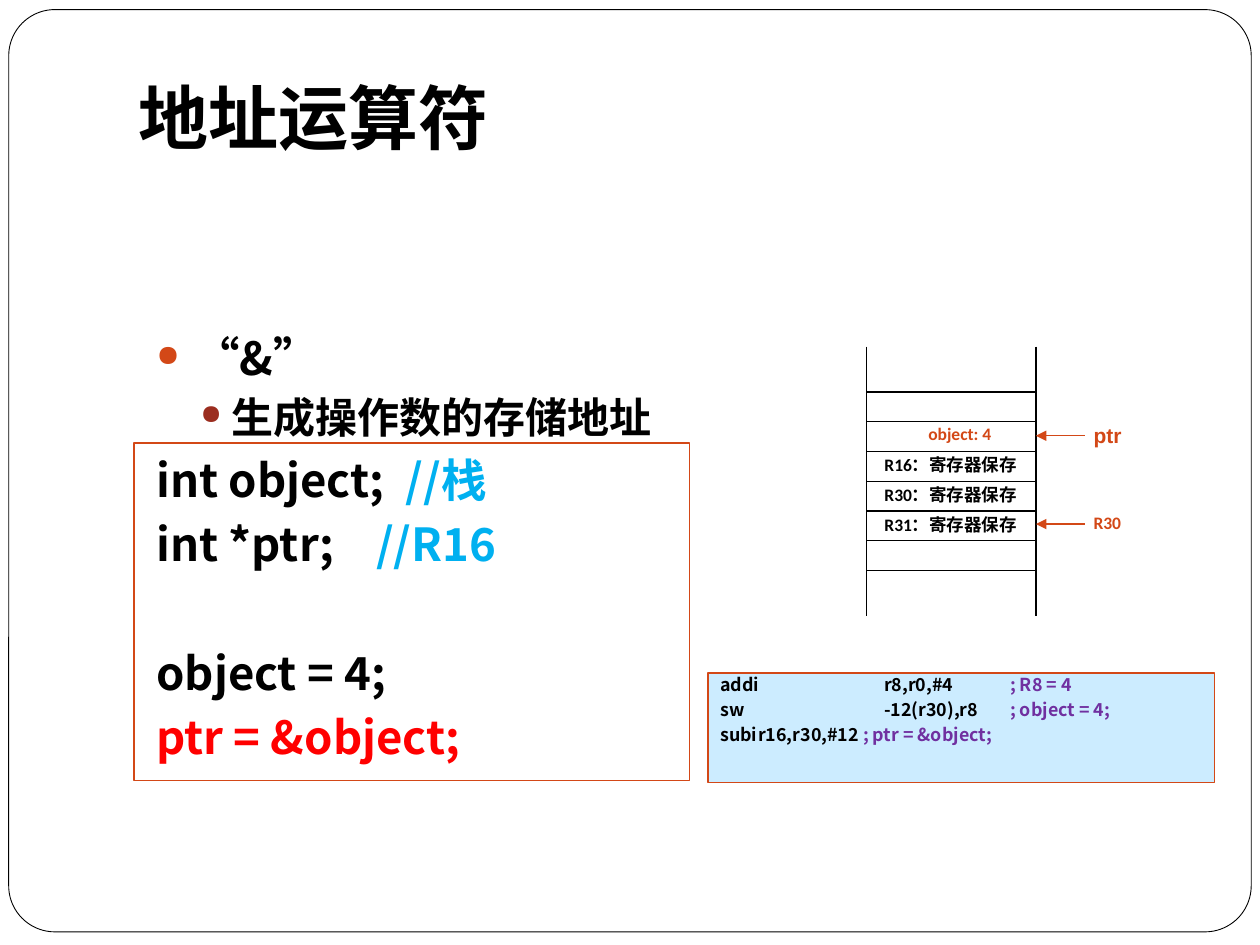
"""Build the slide on the address operator."""
from dataclasses import dataclass
from typing import Optional

import pptx
import pptx.dml.color
import pptx.enum.shapes
import pptx.enum.text
import pptx.oxml.ns
import pptx.util
from lxml import etree

Pt = pptx.util.Pt
qn = pptx.oxml.ns.qn
NOTO = "Noto Sans CJK SC"
HUES = {
    "ink": "000000", "paper": "FFFFFF", "rust": "D34817", "brick": "9B2D1F",
    "sky": "00B0F0", "red": "FF0000", "plum": "7030A0", "pale": "CCECFF",
}


@dataclass
class Para:
    runs: list[tuple[str, str]]
    size: float
    left: float = 0
    hang: float = 0
    before: float = 0
    lead: Optional[float] = None
    dot: Optional[str] = None
    tab: float = 72
    font: str = NOTO


@dataclass
class Label:
    text: str
    left: float
    top: float
    width: float
    hue: str = "ink"
    size: float = 10
    font: str = "Calibri"


@dataclass
class Line:
    start: tuple[float, float]
    end: tuple[float, float]
    hue: str = "ink"
    arrow: bool = False


def tint(name: str) -> pptx.dml.color.RGBColor:
    return pptx.dml.color.RGBColor.from_string(HUES[name])


def add_tag(node, tag: str, **attrs: str):
    return etree.SubElement(node, qn(tag), attrs)


def fill_para(item, para: Para) -> None:
    props = item._p.get_or_add_pPr()
    props.set("marL", str(Pt(para.left)))
    props.set("indent", str(Pt(para.hang)))
    props.set("defTabSz", str(Pt(para.tab)))
    if para.dot:
        add_tag(add_tag(props, "a:buClr"), "a:srgbClr", val=HUES[para.dot])
        add_tag(props, "a:buSzPct", val="65000")
        add_tag(props, "a:buChar", char="●")
    else:
        add_tag(props, "a:buNone")
    item.space_before = Pt(para.before)
    if para.lead:
        item.line_spacing = para.lead
    for text, hue in para.runs:
        run = item.add_run()
        run.text = text
        run.font.size = Pt(para.size)
        run.font.name = para.font
        run.font.bold = True
        run.font.color.rgb = tint(hue)
        add_tag(run._r.get_or_add_rPr(), "a:ea", typeface=NOTO)


def put_text(shape, paras: list[Para], *, inset: tuple[float, float] = (7.2, 3.6),
             anchor=pptx.enum.text.MSO_ANCHOR.TOP) -> None:
    frame = shape.text_frame
    frame.word_wrap = True
    frame.vertical_anchor = anchor
    frame.margin_left = frame.margin_right = Pt(inset[0])
    frame.margin_top = frame.margin_bottom = Pt(inset[1])
    for spot, para in enumerate(paras):
        item = frame.add_paragraph() if spot else frame.paragraphs[0]
        item.alignment = pptx.enum.text.PP_ALIGN.LEFT
        fill_para(item, para)


def add_text(slide, area: tuple[float, ...], paras: list[Para], **format) -> None:
    put_text(slide.shapes.add_textbox(*map(Pt, area)), paras, **format)


def add_box(slide, area: tuple[float, ...], hue: str, width: float,
            fill: Optional[str] = None, round: Optional[float] = None):
    kinds = pptx.enum.shapes.MSO_SHAPE
    kind = kinds.ROUNDED_RECTANGLE if round else kinds.RECTANGLE
    shape = slide.shapes.add_shape(kind, *map(Pt, area))
    shape.shadow.inherit = False
    if round:
        shape.adjustments[0] = round
    if fill:
        shape.fill.solid()
        shape.fill.fore_color.rgb = tint(fill)
    else:
        shape.fill.background()
    shape.line.color.rgb = tint(hue)
    shape.line.width = Pt(width)
    return shape


def add_line(slide, line: Line) -> None:
    kind = pptx.enum.shapes.MSO_CONNECTOR.STRAIGHT
    link = slide.shapes.add_connector(kind, *map(Pt, line.start + line.end))
    link.line.color.rgb = tint(line.hue)
    link.line.width = Pt(0.75)
    if line.arrow:
        add_tag(link.line._get_or_add_ln(), "a:headEnd", type="triangle")
    add_tag(link._element.spPr, "a:effectLst")


def add_label(slide, label: Label) -> None:
    para = Para([(label.text, label.hue)], label.size, font=label.font)
    add_text(slide, (label.left, label.top, label.width, 18), [para], inset=(1.44, 0.72))


def code(*runs: tuple[str, str], before: float = 5.8, tab: float = 72) -> Para:
    return Para(list(runs), 26, 21.6, -21.6, before, tab=tab)


def step(text: str, note: str, before: float = 5.8) -> Para:
    return Para([(text, "ink"), (note, "plum")], 10.2, 21.6, -21.6, before, 0.7)


def add_stack(slide) -> None:
    left, right, top, pitch = 495, 592, 224, 17
    for row in range(7):
        level = top + row * pitch
        add_line(slide, Line((left, level), (right, level)))
    for side in (left, right):
        add_line(slide, Line((side, 198), (side, 352)))
    for level in (249, 299.5):
        add_line(slide, Line((right, level), (620, level), "rust", True))
    labels = [
        Label("object: 4", 529, 241, 62, "rust"),
        Label("ptr", 623.5, 241, 22, "rust", 12, "Arial"),
        Label("R30", 623.5, 291.6, 22, "rust"),
    ]
    labels += [Label(f"{name}：寄存器保存", 504, 258.5 + row * 17.25, 83)
               for row, name in enumerate(("R16", "R30", "R31"))]
    for label in labels:
        add_label(slide, label)


def main() -> None:
    deck = pptx.Presentation()
    deck.slide_width, deck.slide_height = Pt(720), Pt(540)
    slide = deck.slides.add_slide(deck.slide_layouts[6])
    add_box(slide, (5, 5.5, 710, 527), "ink", 0.5, "paper", 0.05)
    add_text(slide, (72, 21.6, 612, 90), [Para([("地址运算符", "ink")], 40)],
             anchor=pptx.enum.text.MSO_ANCHOR.MIDDLE)
    add_text(slide, (82.3, 185, 562, 312), [
        Para([("“&”", "ink")], 26, 21.6, -21.6, dot="rust"),
        Para([("生成操作数的存储地址", "ink")], 24, 43.2, -18, 3.7, dot="brick"),
        code(("int object;\t", "ink"), ("//栈", "sky"), tab=121),
        code(("int *ptr;\t", "ink"), ("//R16", "sky"), tab=104),
        code(("object = 4;", "ink"), before=42.2),
        code(("ptr = &object;", "red")),
    ])
    add_box(slide, (76.5, 253, 317.5, 193), "rust", 1)
    steps = add_box(slide, (404.5, 384.5, 289.5, 62.5), "rust", 0.75, "pale")
    put_text(steps, [
        step("addi\tr8,r0,#4\t", "; R8 = 4", 0),
        step("sw\t\t-12(r30),r8\t", "; object = 4;"),
        step("subi\tr16,r30,#12 ", "; ptr = &object;"),
    ])
    add_stack(slide)
    deck.save("out.pptx")


if __name__ == "__main__":
    main()
